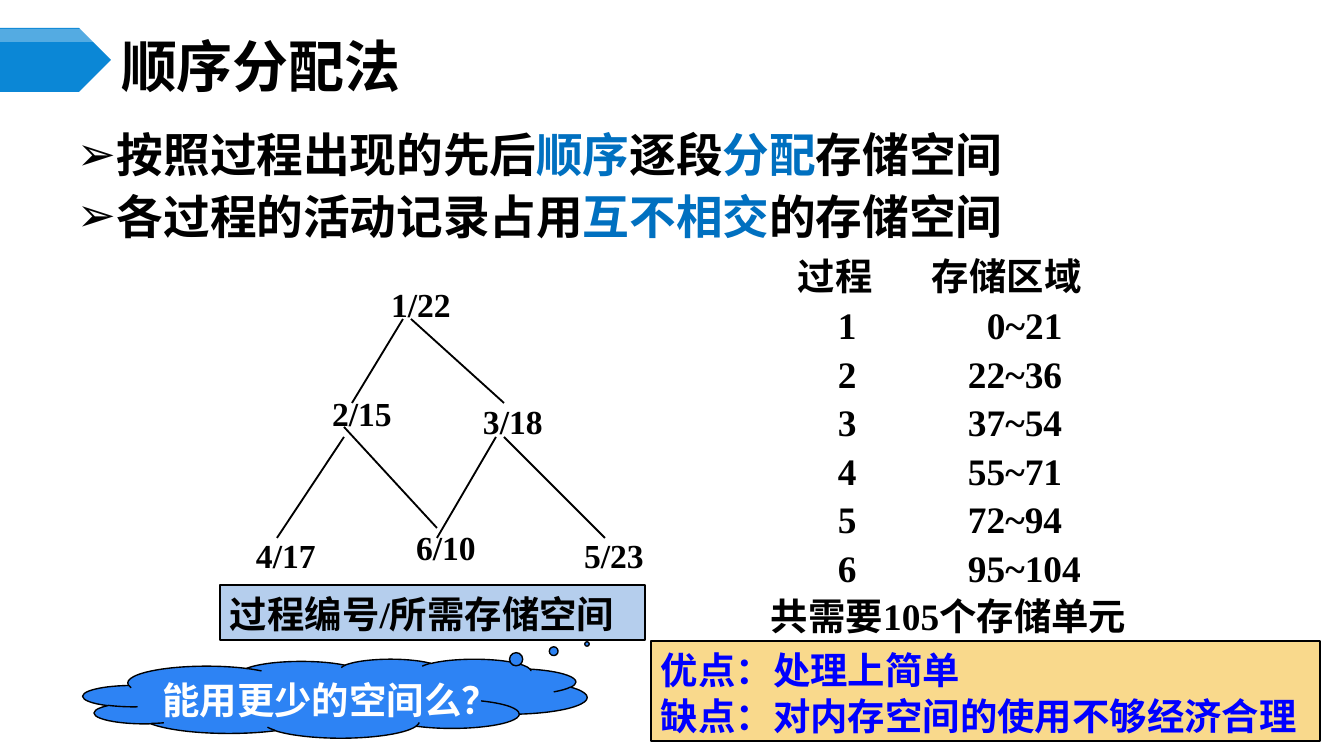
from pptx import Presentation
from pptx.dml.color import RGBColor
from pptx.enum.shapes import MSO_CONNECTOR, MSO_SHAPE as SHAPE
from pptx.enum.text import MSO_ANCHOR as ANCHOR, MSO_AUTO_SIZE as FIT, PP_ALIGN as ALIGN
from pptx.oxml import parse_xml
from pptx.oxml.ns import nsdecls, qn
from pptx.util import Pt

# Content
TITLE = "顺序分配法"
# Odd pieces of a bullet are highlighted
BULLETS = [
    ["按照过程出现的先后", "顺序", "逐段", "分配", "存储空间"],
    ["各过程的活动记录占用", "互不相交", "的存储空间"],
]
NODES = [  # label, left, top
    ("1/22", 378, 277), ("2/15", 319, 386), ("3/18", 470, 394),
    ("4/17", 243, 528), ("6/10", 403, 520), ("5/23", 571, 528),
]
EDGES = [  # x1, y1, x2, y2
    (403, 319, 352, 403), (411, 319, 504, 403), (344, 437, 277, 538),
    (344, 427, 437, 528), (496, 437, 437, 538), (504, 437, 605, 538),
]
LEGEND = "过程编号/所需存储空间"
REGIONS = [  # cells, tab stops
    (("过程", "存储区域"), (27, 161)),
    (("1", "0~21"), (67, 216)),
    (("2", "22~36"), (67, 197)),
    (("3", "37~54"), (67, 197)),
    (("4", "55~71"), (67, 197)),
    (("5", "72~94"), (67, 197)),
    (("6", "95~104"), (67, 197)),
]
TOTAL = "共需要105个存储单元"
VERDICT = ["优点：处理上简单", "缺点：对内存空间的使用不够经济合理"]
QUESTION = "能用更少的空间么？"

THEME = dict(
    latin="Times New Roman", cjk="Noto Sans CJK SC",
    text="000000", accent="0070C0", blue="0000FF", white="FFFFFF",
    banner="0B87D6", legend="B5CEED", verdict="F9D98C", cloud="2D83F4",
    title=30, bullet=25, body=20, node=18,
)
EMU_PER_PX = 914400 / 134.4


def px(n):
    return round(n * EMU_PER_PX)


def box(*lengths):
    return [px(n) for n in lengths]


def rgb(name):
    return RGBColor.from_string(THEME[name])


def write(p, text, size="body", color="text", font="latin"):
    """Add one bold run to a paragraph."""
    r = p.add_run()
    r.text = text
    f = r.font
    f.size, f.bold, f.name = Pt(THEME[size]), True, THEME[font]
    f.color.rgb = rgb(color)
    r._r.get_or_add_rPr().find(qn("a:latin")).addnext(
        parse_xml(f'<a:ea {nsdecls("a")} typeface="{THEME["cjk"]}"/>'))


def frame(sp, inset=(10, 5), anchor=ANCHOR.TOP):
    tf = sp.text_frame
    tf.word_wrap, tf.auto_size, tf.vertical_anchor = True, FIT.NONE, anchor
    tf.margin_left = tf.margin_right = px(inset[0])
    tf.margin_top = tf.margin_bottom = px(inset[1])
    return tf


def paragraphs(tf, count, spacing=None):
    for i in range(count):
        p = tf.paragraphs[0] if i == 0 else tf.add_paragraph()
        p.alignment = ALIGN.LEFT
        if spacing:
            p.line_spacing = Pt(spacing)
        yield p


def shape(kind, bounds, fill, outlined=True):
    sp = s.shapes.add_shape(kind, *box(*bounds))
    sp.shadow.inherit = False
    sp.fill.solid()
    sp.fill.fore_color.rgb = rgb(fill)
    if outlined:
        sp.line.color.rgb = rgb("text")
        sp.line.width = Pt(0.75)
    else:
        sp.line.fill.background()
    return sp


def note(kind, bounds, fill, lines, color="text"):
    sp = shape(kind, bounds, fill)
    for p, line in zip(paragraphs(frame(sp), len(lines), 24.6), lines):
        write(p, line, color=color)
    return sp


prs = Presentation()
prs.slide_width, prs.slide_height = box(1344, 756)
s = prs.slides.add_slide(prs.slide_layouts[1])
title, body = s.placeholders

# Banner with a translucent highlight
shape(SHAPE.PENTAGON, (0, 28, 111, 64), "banner", outlined=False)
shine = shape(SHAPE.PENTAGON, (0, 29, 111, 13), "white", outlined=False)
shine._element.spPr.find(".//" + qn("a:srgbClr")).append(
    parse_xml(f'<a:alpha {nsdecls("a")} val="30000"/>'))

# Title and bullets
title.left, title.top, title.width, title.height = box(111, 39, 1165, 52)
for p in paragraphs(frame(title, anchor=ANCHOR.MIDDLE), 1):
    write(p, TITLE, size="title", font="cjk")

body.left, body.top, body.width, body.height = box(22, 125, 1068, 94)
tf = frame(body)
for i, p in enumerate(paragraphs(tf, len(BULLETS), 28)):
    p.level = 1
    p.space_before = Pt(5 if i else 0)
    pPr = p._p.get_or_add_pPr()
    pPr.set("marL", str(px(85)))
    pPr.set("indent", str(px(-40)))
    pPr.append(parse_xml(f'<a:buChar {nsdecls("a")} char="➢"/>'))
    for j, piece in enumerate(BULLETS[i]):
        write(p, piece, size="bullet", color="accent" if j % 2 else "text")

# Call graph
for label, x, y in NODES:
    tb = s.shapes.add_textbox(*box(x, y, 101, 54))
    for p in paragraphs(frame(tb, inset=(13, 7)), 1):
        write(p, label, size="node")
for edge in EDGES:
    line = s.shapes.add_connector(MSO_CONNECTOR.STRAIGHT, *box(*edge))
    line.line.color.rgb = rgb("text")
    line.line.width = Pt(1)
    line._element.spPr.append(parse_xml(f'<a:effectLst {nsdecls("a")}/>'))
note(SHAPE.RECTANGLE, (220, 585, 425, 55), "legend", [LEGEND])

# Storage regions, aligned by tab stops
tb = s.shapes.add_textbox(*box(761, 245, 405, 398))
rows = REGIONS + [((TOTAL,), ())]
for p, (cells, stops) in zip(paragraphs(frame(tb), len(rows), 26), rows):
    if stops:
        tabs = "".join(f'<a:tab pos="{px(x)}" algn="l"/>' for x in stops)
        p._p.get_or_add_pPr().append(
            parse_xml(f'<a:tabLst {nsdecls("a")}>{tabs}</a:tabLst>'))
    write(p, "".join("\t" + c for c in cells) if stops else cells[0])

# Verdict and question
note(SHAPE.RECTANGLE, (651, 641, 669, 100), "verdict", VERDICT, color="blue")
cloud = note(SHAPE.CLOUD_CALLOUT, (83, 659, 504, 79), "cloud", [QUESTION], color="white")
cloud.adjustments[0], cloud.adjustments[1] = 0.5, -0.69

prs.save("out.pptx")
